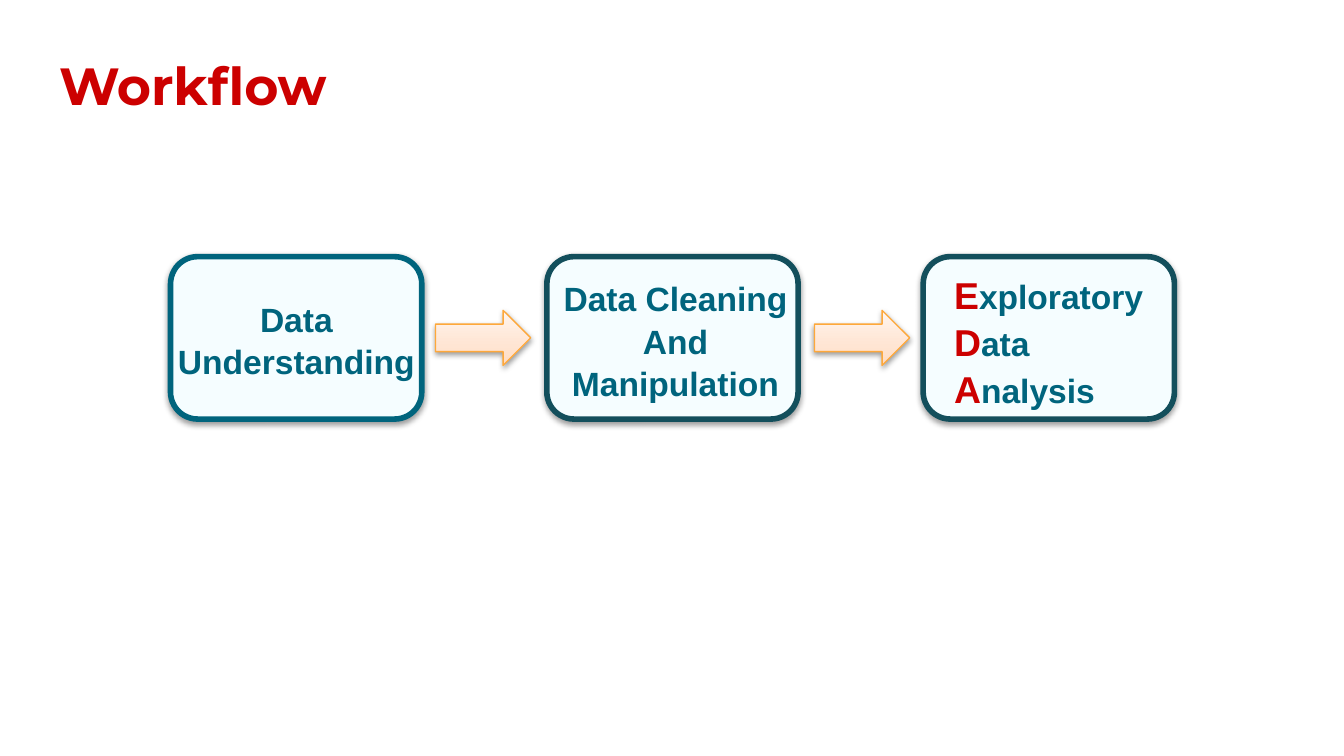
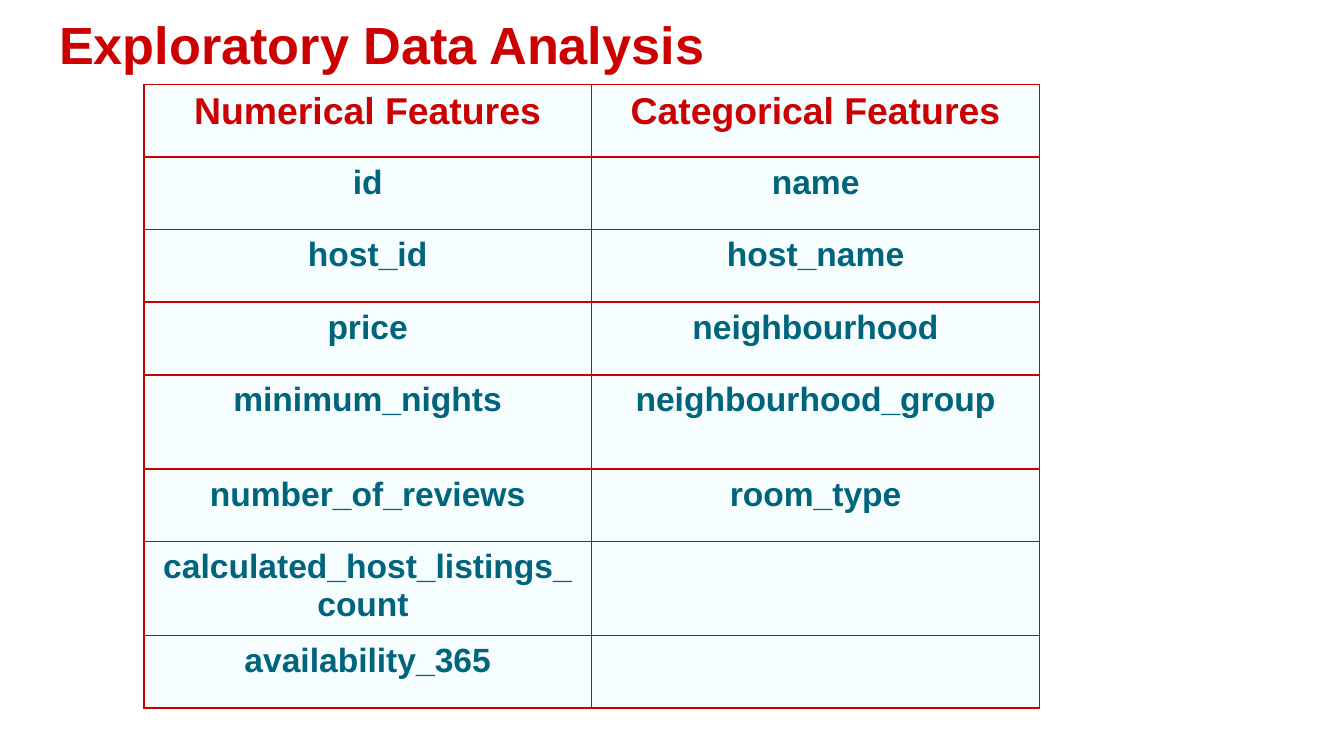
"""Build the workflow and exploratory data analysis slides."""
import copy
import dataclasses

import lxml.etree
import pptx
import pptx.dml.color
import pptx.enum.shapes
import pptx.enum.text
import pptx.oxml.ns
import pptx.util

Pt = pptx.util.Pt
RGB = pptx.dml.color.RGBColor
qn = pptx.oxml.ns.qn
SHAPE = pptx.enum.shapes.MSO_SHAPE
ALIGN = pptx.enum.text.PP_ALIGN
ANCHOR = pptx.enum.text.MSO_ANCHOR
AUTO = pptx.enum.text.MSO_AUTO_SIZE


@dataclasses.dataclass(frozen=True)
class Theme:
    """Colours, fonts and type sizes shared by the slides."""
    red: RGB = RGB(0xCC, 0x00, 0x00)
    teal: RGB = RGB(0x00, 0x64, 0x7D)
    dark_teal: RGB = RGB(0x13, 0x4F, 0x5C)
    pale: RGB = RGB(0xF5, 0xFD, 0xFF)
    orange: RGB = RGB(0xFE, 0xA8, 0x3A)
    peach: tuple = ((0, "FFDAC0"), (0.35, "FFE5D3"), (1, "FFF5EE"))
    body_font: str = "Arial"
    display_font: str = "Montserrat"
    title_size: int = 28
    head_size: int = 20
    body_size: int = 18


THEME = Theme()
HEAD = (THEME.head_size, THEME.red)
BODY = (THEME.body_size, THEME.teal)

STEP_LEFT, STEP_PITCH, STEP_W, STEP_H = 91.4, 201.6, 134.6, 87
ARROW_LEFT, ARROW_PITCH, ARROW_W, ARROW_H = 233.3, 203, 51, 29.5
FLOW_MIDDLE = 181
LABEL_W = 142
STEPS = [
    (THEME.teal, 87.8, 51, ALIGN.CENTER,
     [[("Data", BODY)], [("Understanding", BODY)]]),
    (THEME.dark_teal, 290.9, 73, ALIGN.CENTER,
     [[("Data Cleaning", BODY)], [("And Manipulation", BODY)]]),
    (THEME.dark_teal, 504, 80, ALIGN.LEFT,
     [[(word[0], HEAD), (word[1:], BODY)]
      for word in ("Exploratory", "Data", "Analysis")]),
]
FEATURES = [
    ("Numerical Features", "Categorical Features"),
    ("id", "name"),
    ("host_id", "host_name"),
    ("price", "neighbourhood"),
    ("minimum_nights", "neighbourhood_group"),
    ("number_of_reviews", "room_type"),
    ("calculated_host_listings_count ", ""),
    ("availability_365", ""),
]
ROW_H, TALL_ROW_H, TALL_ROWS = 38.9, 50.4, (4, 6)


def apply(target, **values):
    """Set each named value on the target."""
    for name, value in values.items():
        setattr(target, name, value)


def add_run(p, text, size, color, font=THEME.body_font):
    """Add a bold run to a paragraph."""
    r = p.add_run()
    r.text = text
    apply(r.font, name=font, size=Pt(size), bold=True)
    r.font.color.rgb = color


def add_slide(prs, title, top, font=THEME.body_font):
    """Add a slide with a red, left-aligned title."""
    s = prs.slides.add_slide(prs.slide_layouts[5])
    sp = s.shapes.title
    apply(sp, left=Pt(24.5), top=Pt(top), width=Pt(671), height=Pt(45.4))
    tf = sp.text_frame
    apply(tf, auto_size=AUTO.NONE, word_wrap=True,
          vertical_anchor=ANCHOR.BOTTOM, margin_left=Pt(7.2),
          margin_right=Pt(7.2), margin_top=Pt(7.2), margin_bottom=Pt(5))
    p = tf.paragraphs[0]
    p.alignment = ALIGN.LEFT
    add_run(p, title, THEME.title_size, THEME.red, font)
    return s


def add_soft_shadow(sp):
    """Give a shape a faint shadow below it."""
    sp.shadow.inherit = False
    effects = sp.element.spPr.find(qn("a:effectLst"))
    shadow = lxml.etree.SubElement(
        effects, qn("a:outerShdw"), blurRad=str(Pt(3.1)), dist=str(Pt(1.6)),
        dir="5400000", rotWithShape="0")
    color = lxml.etree.SubElement(shadow, qn("a:srgbClr"), val="000000")
    lxml.etree.SubElement(color, qn("a:alpha"), val="38000")


def add_flow_shape(s, kind, left, width, height, line, line_width):
    """Add an outlined shape centred on the flow's middle line."""
    sp = s.shapes.add_shape(kind, Pt(left), Pt(FLOW_MIDDLE - height / 2),
                            Pt(width), Pt(height))
    sp.line.color.rgb = line
    sp.line.width = Pt(line_width)
    add_soft_shadow(sp)
    return sp


def add_step(s, left, line):
    """Add one rounded step box."""
    sp = add_flow_shape(s, SHAPE.ROUNDED_RECTANGLE, left, STEP_W, STEP_H,
                        line, 3)
    sp.fill.solid()
    sp.fill.fore_color.rgb = THEME.pale


def add_arrow(s, left):
    """Add a block arrow with a peach gradient."""
    sp = add_flow_shape(s, SHAPE.RIGHT_ARROW, left, ARROW_W, ARROW_H,
                        THEME.orange, 0.75)
    sp.fill.gradient()
    sp.fill.gradient_angle = 90
    stops = sp.element.spPr.find(".//" + qn("a:gsLst"))
    stops.insert(1, copy.deepcopy(stops[0]))
    for stop, (position, color) in zip(sp.fill.gradient_stops, THEME.peach):
        stop.position = position
        stop.color.rgb = RGB.from_string(color)


def add_label(s, left, height, alignment, lines):
    """Add a step's text, centred on the flow's middle line."""
    sp = s.shapes.add_textbox(Pt(left), Pt(FLOW_MIDDLE - height / 2),
                              Pt(LABEL_W), Pt(height))
    tf = sp.text_frame
    tf.word_wrap = True
    for i, line in enumerate(lines):
        p = tf.add_paragraph() if i else tf.paragraphs[0]
        apply(p, alignment=alignment, line_spacing=1.05)
        for text, style in line:
            add_run(p, text, *style)


def set_borders(cell, color):
    """Draw a 1 pt line on every side of a cell."""
    tcPr = cell._tc.get_or_add_tcPr()
    for i, side in enumerate("LRTB"):
        ln = lxml.etree.Element(qn("a:ln" + side), w=str(Pt(1)))
        fill = lxml.etree.SubElement(ln, qn("a:solidFill"))
        lxml.etree.SubElement(fill, qn("a:srgbClr"), val=str(color))
        tcPr.insert(i, ln)


def add_feature_table(s):
    """Add the table of numerical and categorical features."""
    heights = [TALL_ROW_H if i in TALL_ROWS else ROW_H
               for i in range(len(FEATURES))]
    table = s.shapes.add_table(len(FEATURES), 2, Pt(77), Pt(45.2), Pt(480),
                               Pt(sum(heights))).table
    apply(table, first_row=False, horz_banding=False)
    for i, (height, texts) in enumerate(zip(heights, FEATURES)):
        table.rows[i].height = Pt(height)
        for j, text in enumerate(texts):
            cell = table.cell(i, j)
            cell.fill.solid()
            cell.fill.fore_color.rgb = THEME.pale
            set_borders(cell, THEME.red)
            if text:
                p = cell.text_frame.paragraphs[0]
                p.alignment = ALIGN.CENTER
                add_run(p, text, *(BODY if i else HEAD))


def main():
    """Build both slides and save them."""
    prs = pptx.Presentation()
    apply(prs, slide_width=Pt(720), slide_height=Pt(405))

    s = add_slide(prs, "Workflow", 21.6, THEME.display_font)
    for i, (line, *_) in enumerate(STEPS):
        add_step(s, STEP_LEFT + i * STEP_PITCH, line)
    for i in range(len(STEPS) - 1):
        add_arrow(s, ARROW_LEFT + i * ARROW_PITCH)
    for _, *label in STEPS:
        add_label(s, *label)

    s = add_slide(prs, "Exploratory Data Analysis", 0)
    add_feature_table(s)

    prs.save("out.pptx")


if __name__ == "__main__":
    main()
